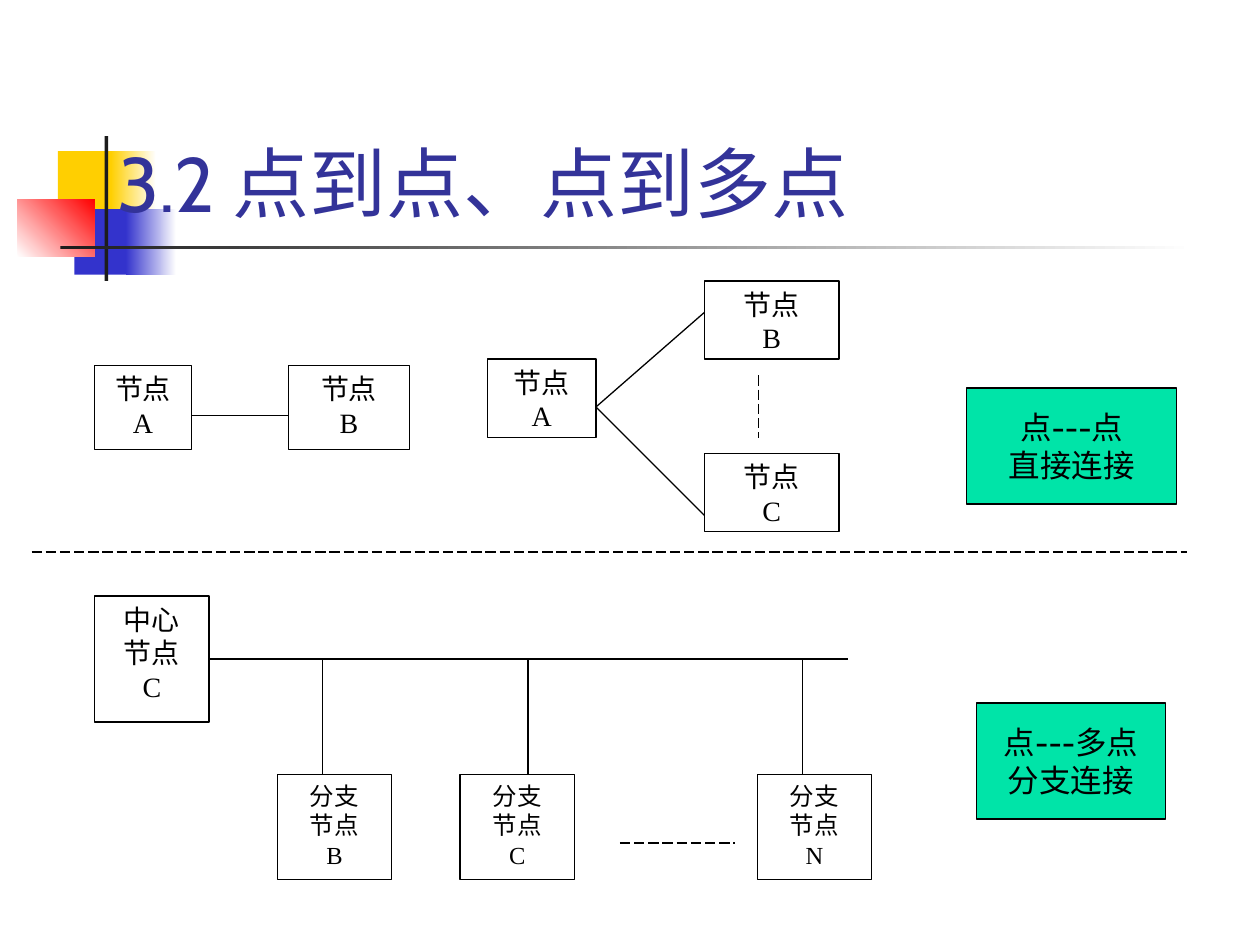
from lxml import etree
from pptx import Presentation
from pptx.dml.color import RGBColor
from pptx.enum.dml import MSO_LINE
from pptx.enum.shapes import MSO_CONNECTOR, MSO_SHAPE
from pptx.enum.text import MSO_ANCHOR, MSO_AUTO_SIZE, PP_ALIGN
from pptx.oxml.ns import qn
from pptx.util import Inches, Pt

RECT = MSO_SHAPE.RECTANGLE
STRAIGHT = MSO_CONNECTOR.STRAIGHT
LONG_DASH = MSO_LINE.LONG_DASH
TOP, MIDDLE, BOTTOM = MSO_ANCHOR.TOP, MSO_ANCHOR.MIDDLE, MSO_ANCHOR.BOTTOM
LEFT, CENTER = PP_ALIGN.LEFT, PP_ALIGN.CENTER
RIGHT_SIDE = 3


def rgb(value):
    return RGBColor.from_string(value)


def write(tf, text, size=16, font="Times New Roman", color="000000",
          align=CENTER, anchor=TOP, wrap=True):
    tf.word_wrap = wrap
    tf.vertical_anchor = anchor
    for i, line in enumerate(text.split("\n")):
        p = tf.paragraphs[0] if i == 0 else tf.add_paragraph()
        p.alignment = align
        r = p.add_run()
        r.text = line
        r.font.size = Pt(size)
        r.font.name = font
        r.font.color.rgb = rgb(color)


class Slide:
    heading_font = "Cabin"
    ink = "000000"
    line_width = Pt(0.75)

    def __init__(self, prs):
        self.s = prs.slides.add_slide(prs.slide_layouts[5])

    def title(self, text, x, y, w, h):
        sp = self.s.shapes.title
        sp.left, sp.top, sp.width, sp.height = map(Inches, (x, y, w, h))
        tf = sp.text_frame
        tf.auto_size = MSO_AUTO_SIZE.NONE
        write(tf, text, size=44, font=self.heading_font, color="333399",
              align=LEFT, anchor=BOTTOM)
        self.s.shapes._spTree.append(sp._element)

    def rect(self, x, y, w, h):
        sp = self.s.shapes.add_shape(RECT, *map(Inches, (x, y, w, h)))
        sp.shadow.inherit = False
        return sp

    def block(self, x, y, w, h, color):
        sp = self.rect(x, y, w, h)
        sp.fill.solid()
        sp.fill.fore_color.rgb = rgb(color)
        sp.line.fill.background()

    def fade(self, x, y, w, h, start, end, angle=0):
        sp = self.rect(x, y, w, h)
        sp.fill.gradient()
        sp.fill.gradient_angle = angle
        for stop, color in zip(sp.fill.gradient_stops, (start, end)):
            stop.color.rgb = rgb(color)
        sp.line.fill.background()

    def box(self, text, x, y, w, h, fill="FFFFFF", **style):
        sp = self.rect(x, y, w, h)
        sp.fill.solid()
        sp.fill.fore_color.rgb = rgb(fill)
        sp.line.color.rgb = rgb(self.ink)
        sp.line.width = self.line_width
        write(sp.text_frame, text, **style)
        return sp

    def label(self, text, x, y, w, h):
        self.box(text, x, y, w, h, fill="00E4A8", size=18,
                 font=self.heading_font, anchor=MIDDLE, wrap=False)

    def line(self, x1, y1, x2, y2, dash=None, start=None):
        cn = self.s.shapes.add_connector(STRAIGHT, *map(Inches, (x1, y1, x2, y2)))
        cn.line.color.rgb = rgb(self.ink)
        cn.line.width = self.line_width
        if dash:
            cn.line.dash_style = dash
        if start:
            cn.begin_connect(start, RIGHT_SIDE)
        etree.SubElement(cn._element.spPr, qn("a:effectLst"))


def draw_decoration(slide):
    slide.block(0.46, 1.2, 0.48, 0.52, "FFCF01")
    slide.fade(0.88, 1.2, 0.36, 0.52, "FFCF01", "FFFFFF")
    slide.block(0.59, 1.66, 0.46, 0.52, "3333CC")
    slide.fade(1, 1.66, 0.4, 0.52, "3333CC", "FFFFFF")
    slide.fade(0.14, 1.58, 0.61, 0.46, "FFFFFF", "FF0000", angle=45)
    slide.block(0.83, 1.08, 0.03, 1.15, "1C1C1C")
    slide.fade(0.48, 1.95, 9, 0.03, "1C1C1C", "FFFFFF")


def draw_point_to_point(slide):
    slide.box("节点\nA", 0.75, 2.9, 0.77, 0.67)
    slide.box("节点\nB", 2.29, 2.9, 0.96, 0.67)
    slide.line(1.52, 3.3, 2.29, 3.3)

    slide.box("节点\nA", 3.87, 2.85, 0.86, 0.62)
    for name, top, line_end in (("B", 2.23, 2.48), ("C", 3.6, 4.09)):
        slide.box(f"节点\n{name}", 5.59, top, 1.07, 0.62)
        slide.line(4.73, 3.23, 5.59, line_end)
    slide.line(6.02, 2.98, 6.02, 3.48, dash=LONG_DASH)
    slide.label("点---点\n直接连接", 7.67, 3.08, 1.67, 0.92)


def draw_point_to_multipoint(slide):
    bus_y, branch_y = 5.23, 6.15
    center = slide.box("中心\n节点\nC", 0.75, 4.73, 0.91, 1)
    slide.line(1.66, bus_y, 6.73, bus_y, start=center)
    for name, left, drop_x in (("B", 2.2, 2.56), ("C", 3.65, 4.19), ("N", 6.01, 6.37)):
        slide.box(f"分支\n节点\n{name}", left, branch_y, 0.91, 0.83, size=14)
        slide.line(drop_x, bus_y, drop_x, branch_y)
    slide.line(4.92, 6.69, 5.83, 6.69, dash=LONG_DASH)
    slide.label("点---多点\n分支连接", 7.75, 5.58, 1.5, 0.92)


def main():
    prs = Presentation()
    prs.slide_width, prs.slide_height = Inches(10), Inches(7.5)
    slide = Slide(prs)
    draw_decoration(slide)
    slide.title("3.2 点到点、点到多点", 0.83, 0.26, 8.52, 1.6)
    draw_point_to_point(slide)
    slide.line(0.25, 4.38, 9.42, 4.38, dash=LONG_DASH)
    draw_point_to_multipoint(slide)
    prs.save("out.pptx")


if __name__ == "__main__":
    main()
